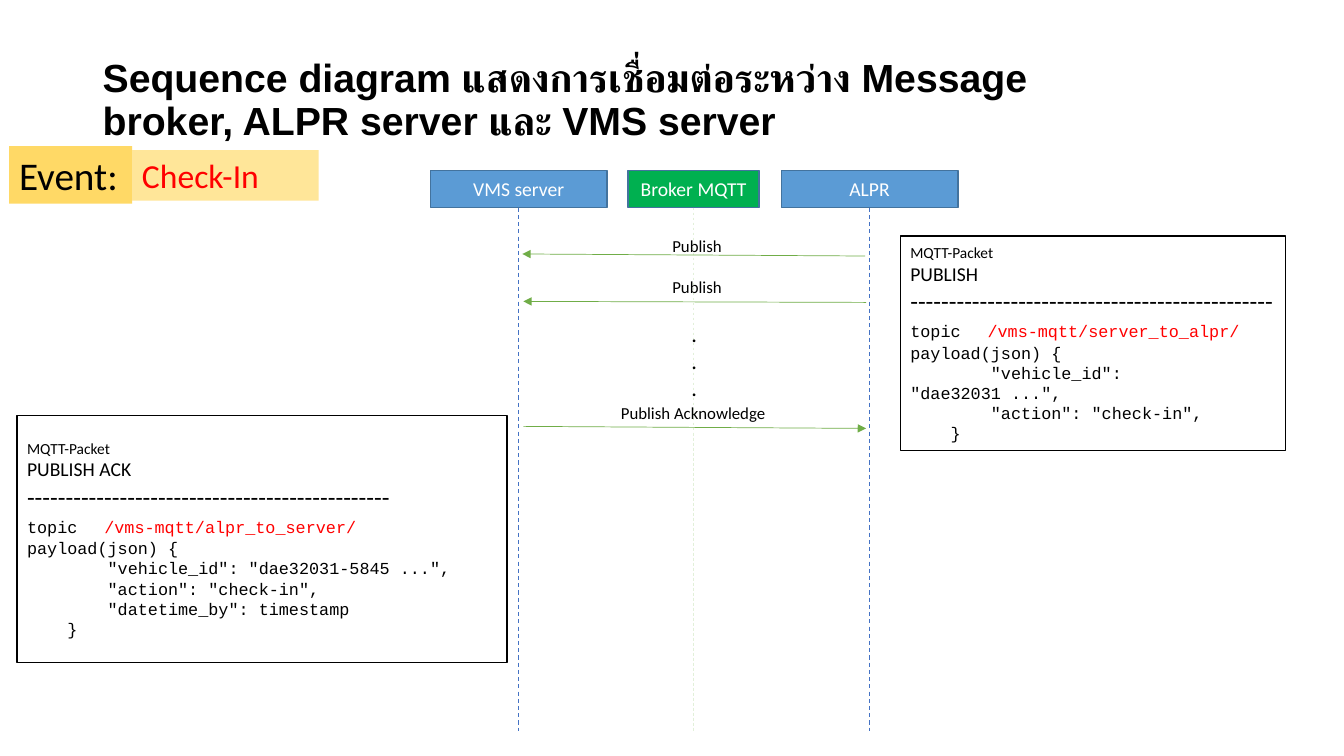
from lxml import etree
from pptx import Presentation
from pptx.dml.color import RGBColor
from pptx.enum.dml import MSO_LINE
from pptx.enum.shapes import MSO_CONNECTOR, MSO_SHAPE
from pptx.enum.text import MSO_ANCHOR, PP_ALIGN
from pptx.oxml.ns import qn
from pptx.util import Inches, Pt

RECTANGLE = MSO_SHAPE.RECTANGLE
STRAIGHT = MSO_CONNECTOR.STRAIGHT
DASH = MSO_LINE.DASH
TOP, MIDDLE = MSO_ANCHOR.TOP, MSO_ANCHOR.MIDDLE
LEFT, CENTER = PP_ALIGN.LEFT, PP_ALIGN.CENTER
BOTTOM_SIDE = 2

BLACK = RGBColor(0x00, 0x00, 0x00)
WHITE = RGBColor(0xFF, 0xFF, 0xFF)
RED = RGBColor(0xFF, 0x00, 0x00)
BLUE = RGBColor(0x5B, 0x9B, 0xD5)
BLUE_EDGE = RGBColor(0x43, 0x73, 0x9E)
LIFELINE_BLUE = RGBColor(0x44, 0x72, 0xC4)
BROKER_GREEN = RGBColor(0x00, 0xB0, 0x50)
PALE_GREEN = RGBColor(0xE2, 0xF0, 0xD9)
ARROW_GREEN = RGBColor(0x70, 0xAD, 0x47)
GOLD = RGBColor(0xFF, 0xD9, 0x66)
PALE_GOLD = RGBColor(0xFF, 0xE6, 0x99)

BODY, CODE, HEADING = "Calibri", "Courier New", "Arial"


class SequencePage:
    """Holds the page and draws each kind of element on it."""

    def __init__(self, page):
        self.shapes = page.shapes

    def fill_text(self, shape, paragraphs, anchor=TOP, align=LEFT, wrap=True):
        """Each paragraph is a list of (text, size, colour, font) runs."""
        frame = shape.text_frame
        frame.word_wrap = wrap
        frame.vertical_anchor = anchor
        for index, spans in enumerate(paragraphs):
            para = frame.paragraphs[0] if index == 0 else frame.add_paragraph()
            para.alignment = align
            for text, size, colour, font in spans:
                span = para.add_run()
                span.text = text
                span.font.size = Pt(size)
                span.font.name = font
                span.font.color.rgb = colour

    def text(self, place, paragraphs, **layout):
        box = self.shapes.add_textbox(*map(Inches, place))
        self.fill_text(box, paragraphs, **layout)
        return box

    def box(self, place, fill, paragraphs, edge=None, **layout):
        box = self.shapes.add_shape(RECTANGLE, *map(Inches, place))
        box.shadow.inherit = False
        box.fill.solid()
        box.fill.fore_color.rgb = fill
        if edge is None:
            box.line.fill.background()
        else:
            box.line.color.rgb = edge
            box.line.width = Pt(1)
        self.fill_text(box, paragraphs, **layout)
        return box

    def line(self, start, end, colour, width):
        line = self.shapes.add_connector(STRAIGHT, *map(Inches, start + end))
        line.line.color.rgb = colour
        line.line.width = Pt(width)
        etree.SubElement(line._element.spPr, qn("a:effectLst"))
        return line

    def arrow(self, start, end):
        arrow = self.line(start, end, ARROW_GREEN, 0.5)
        outline = arrow._element.spPr.find(qn("a:ln"))
        etree.SubElement(outline, qn("a:tailEnd"), type="triangle")

    def participant(self, name, left, width, fill, line_colour, line_width):
        top, height = 1.69, 0.37
        box = self.box((left, top, width, height), fill, [[(name, 14, WHITE, BODY)]],
                       edge=BLUE_EDGE, anchor=MIDDLE, align=CENTER)
        middle = left + width / 2
        lifeline = self.line((middle, top + height), (middle, 7.25), line_colour, line_width)
        lifeline.line.dash_style = DASH
        lifeline.begin_connect(box, BOTTOM_SIDE)

    def packet(self, place, kind, topic, payload):
        paragraphs = [
            [("MQTT-Packet", 11, BLACK, BODY)],
            [(kind, 14, BLACK, BODY)],
            [("-" * 47, 18, BLACK, BODY)],
            [("topic", 12, BLACK, CODE), ("  ", 16, BLACK, CODE), (topic, 12, RED, CODE)],
        ]
        code = ["payload(json) {", *payload, "    }"]
        paragraphs += [[(row, 12, BLACK, CODE)] for row in code]
        self.box(place, WHITE, paragraphs, edge=BLACK, anchor=MIDDLE)


def main():
    deck = Presentation()
    deck.slide_width, deck.slide_height = Inches(13.33), Inches(7.5)
    page = SequencePage(deck.slides.add_slide(deck.slide_layouts[6]))

    # Title
    heading = "Sequence diagram แสดงการเชื่อมต่อระหว่าง Message broker, ALPR server และ VMS server"
    title = page.text((0.92, 0.4, 10.52, 1.21), [[(heading, 28, BLACK, HEADING)]], anchor=MIDDLE)
    title_para = title.text_frame.paragraphs[0]
    title_para.line_spacing = 0.9
    title_para.runs[0].font.bold = True

    # Participants and lifelines
    page.participant("VMS server", 4.27, 1.75, BLUE, LIFELINE_BLUE, 0.75)
    page.participant("ALPR", 7.75, 1.75, BLUE, LIFELINE_BLUE, 0.75)
    page.participant("Broker MQTT", 6.23, 1.3, BROKER_GREEN, PALE_GREEN, 0.5)

    # Event tag
    page.box((0.09, 1.45, 1.22, 0.57), GOLD, [[("Event:", 28, BLACK, BODY)]])
    page.box((1.31, 1.49, 1.85, 0.5), PALE_GOLD, [[("Check-In", 24, RED, BODY)]])

    # Messages
    for start, end, label_top in (
        ((8.58, 2.54), (5.18, 2.52), 2.29),
        ((8.59, 3.0), (5.19, 2.99), 2.7),
    ):
        page.arrow(start, end)
        page.text((6.57, label_top, 0.7, 0.3), [[("Publish", 12, BLACK, BODY)]], wrap=False)
    page.text((6.76, 3.13, 0.26, 0.91), [[(".", 16, BLACK, BODY)]] * 3, wrap=False)
    page.arrow((5.19, 4.23), (8.59, 4.25))
    page.text((6.06, 3.95, 1.67, 0.3), [[("Publish Acknowledge", 12, BLACK, BODY)]])

    # Packet contents
    action = '        "action": "check-in",'
    page.packet((8.93, 2.34, 3.82, 2.13), "PUBLISH", "/vms-mqtt/server_to_alpr/",
                ['        "vehicle_id": "dae32031 ...",', action])
    page.packet((0.17, 4.12, 4.86, 2.45), "PUBLISH ACK", "/vms-mqtt/alpr_to_server/",
                ['        "vehicle_id": "dae32031-5845 ...",', action,
                 '        "datetime_by": timestamp'])

    deck.save("out.pptx")


if __name__ == "__main__":
    main()
